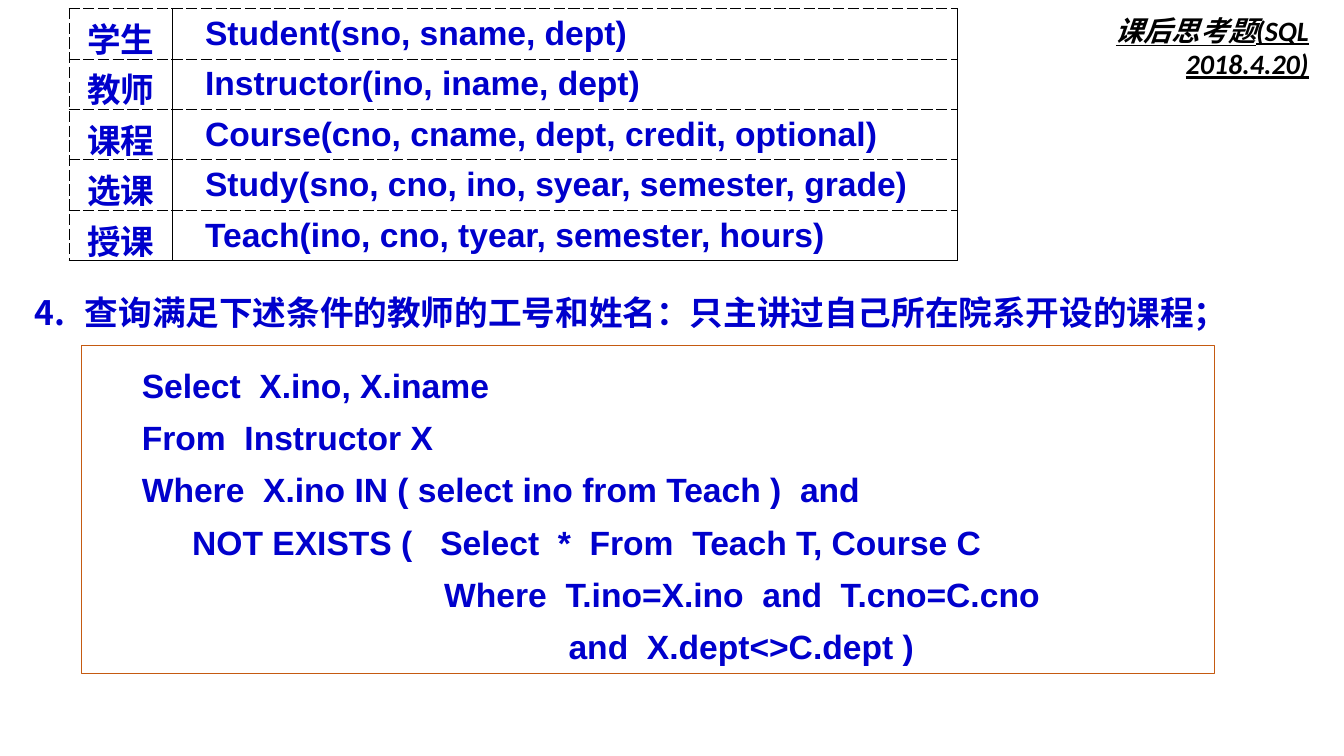
import pptx
import pptx.util
import pptx.dml.color
import pptx.enum.shapes
import pptx.enum.text
import pptx.oxml
import pptx.oxml.ns

Pt = pptx.util.Pt
ALIGN = pptx.enum.text.PP_ALIGN
ANCHOR = pptx.enum.text.MSO_ANCHOR
COLORS = {"blue": "0000CC", "black": "000000", "white": "FFFFFF", "orange": "C55A11"}
BLUE = {"size": Pt(24), "name": "Arial", "bold": True, "color": "blue"}
NOTE = {"size": Pt(20), "name": "Calibri", "bold": True, "italic": True,
        "underline": True, "color": "black"}

prs = pptx.Presentation()
prs.slide_width, prs.slide_height = pptx.util.Inches(13.33), pptx.util.Inches(7.5)
COL, ROW = prs.slide_width / 160, prs.slide_height / 90

SCHEMA = [
    ("学生", "Student(sno, sname, dept)"),
    ("教师", "Instructor(ino, iname, dept)"),
    ("课程", "Course(cno, cname, dept, credit, optional)"),
    ("选课", "Study(sno, cno, ino, syear, semester, grade)"),
    ("授课", "Teach(ino, cno, tyear, semester, hours)"),
]
# Each query line with its indent in grid columns
QUERY = [
    (6, "Select  X.ino, X.iname"),
    (6, "From  Instructor X"),
    (6, "Where  X.ino IN ( select ino from Teach )  and"),
    (12, "NOT EXISTS (   Select  *  From  Teach T, Course C"),
    (42, "Where  T.ino=X.ino  and  T.cno=C.cno"),
    (56.8, "and  X.dept<>C.dept )"),
]


def grid(x, y, w, h):
    """Turn grid columns and rows into a box in EMU."""
    return int(x * COL), int(y * ROW), int(w * COL), int(h * ROW)


def rgb(name):
    """Look up a named colour."""
    return pptx.dml.color.RGBColor.from_string(COLORS[name])


def write(p, text, fmt):
    """Add a run to a paragraph with the given format values."""
    r = p.add_run()
    r.text = text
    for key, value in fmt.items():
        if key == "color":
            r.font.color.rgb = rgb(value)
        else:
            setattr(r.font, key, value)


def set_indent(p, left, first=0):
    """Set left and first-line indents in grid columns."""
    pPr = p._p.get_or_add_pPr()
    pPr.set("marL", str(int(left * COL)))
    pPr.set("indent", str(int(first * COL)))
    return pPr


def add_border(cell, side, width, dash):
    """Draw one border of a table cell."""
    ns = pptx.oxml.ns.nsdecls("a")
    cell._tc.get_or_add_tcPr().append(pptx.oxml.parse_xml(
        f'<a:ln{side} {ns} w="{Pt(width)}"><a:solidFill><a:srgbClr val="{COLORS["black"]}"/>'
        f'</a:solidFill><a:prstDash val="{dash}"/></a:ln{side}>'))


def schema_table(s, box):
    """Table of relation names and their schemas."""
    x, y, w, h = box
    frame = s.shapes.add_table(len(SCHEMA), 2, x, y, w, h)
    table = frame.table
    table.first_row = table.horz_banding = False
    name_width = int(w * 0.117)
    table.columns[0].width, table.columns[1].width = name_width, w - name_width
    thin, solid = (0.5, "sysDash"), (1, "solid")
    for i, texts in enumerate(SCHEMA):
        for j, text in enumerate(texts):
            cell = table.cell(i, j)
            cell.vertical_anchor = ANCHOR.MIDDLE
            p = cell.text_frame.paragraphs[0]
            if j == 0:
                p.alignment = ALIGN.CENTER
            else:
                cell.margin_left = int(3.84 * COL)
            write(p, text, BLUE)
            last = i == len(SCHEMA) - 1
            borders = {"L": solid if j else thin, "R": solid, "T": thin,
                       "B": solid if last else thin}
            for side, style in borders.items():
                add_border(cell, side, *style)
            cell.fill.background()


def corner_note(s, box):
    """Right-aligned note in the upper corner."""
    tf = s.shapes.add_textbox(*box).text_frame
    tf.word_wrap = True
    p = tf.paragraphs[0]
    p.alignment = ALIGN.RIGHT
    write(p, "课后思考题(SQL 2018.4.20)", NOTE)


def question(s, box):
    """Numbered question in the body placeholder."""
    sp = s.placeholders[1]
    sp.left, sp.top, sp.width, sp.height = box
    tf = sp.text_frame
    tf.vertical_anchor = ANCHOR.TOP
    tf.auto_size = pptx.enum.text.MSO_AUTO_SIZE.NONE
    p = tf.paragraphs[0]
    p.space_before = Pt(10)
    pPr = set_indent(p, 6, -6)
    pPr.append(pptx.oxml.parse_xml(
        f'<a:buAutoNum {pptx.oxml.ns.nsdecls("a")} type="arabicPeriod" startAt="4"/>'))
    write(p, "查询满足下述条件的教师的工号和姓名：只主讲过自己所在院系开设的课程；", BLUE)


def query_box(s, box):
    """Framed SQL answer with stepped indents."""
    sp = s.shapes.add_shape(pptx.enum.shapes.MSO_SHAPE.RECTANGLE, *box)
    sp.shadow.inherit = False
    sp.fill.solid()
    sp.fill.fore_color.rgb = rgb("white")
    sp.line.color.rgb = rgb("orange")
    sp.line.width = Pt(0.75)
    tf = sp.text_frame
    tf.word_wrap = True
    tf.vertical_anchor = ANCHOR.MIDDLE
    for i, (left, text) in enumerate(QUERY):
        p = tf.add_paragraph() if i else tf.paragraphs[0]
        p.alignment = ALIGN.LEFT
        p.line_spacing = 1.3
        set_indent(p, left)
        write(p, text, BLUE)


def query_slide():
    """Slide with the schema, the question and its SQL answer."""
    s = prs.slides.add_slide(prs.slide_layouts[1])
    title = s.shapes.title
    title.element.getparent().remove(title.element)
    question(s, grid(2.9, 34.1, 151, 6))
    corner_note(s, grid(118.6, 1, 38.4, 5.3))
    query_box(s, grid(9.7, 41.15, 134.9, 39))
    schema_table(s, grid(8.2, 1, 105.8, 30))


query_slide()
prs.save("out.pptx")
